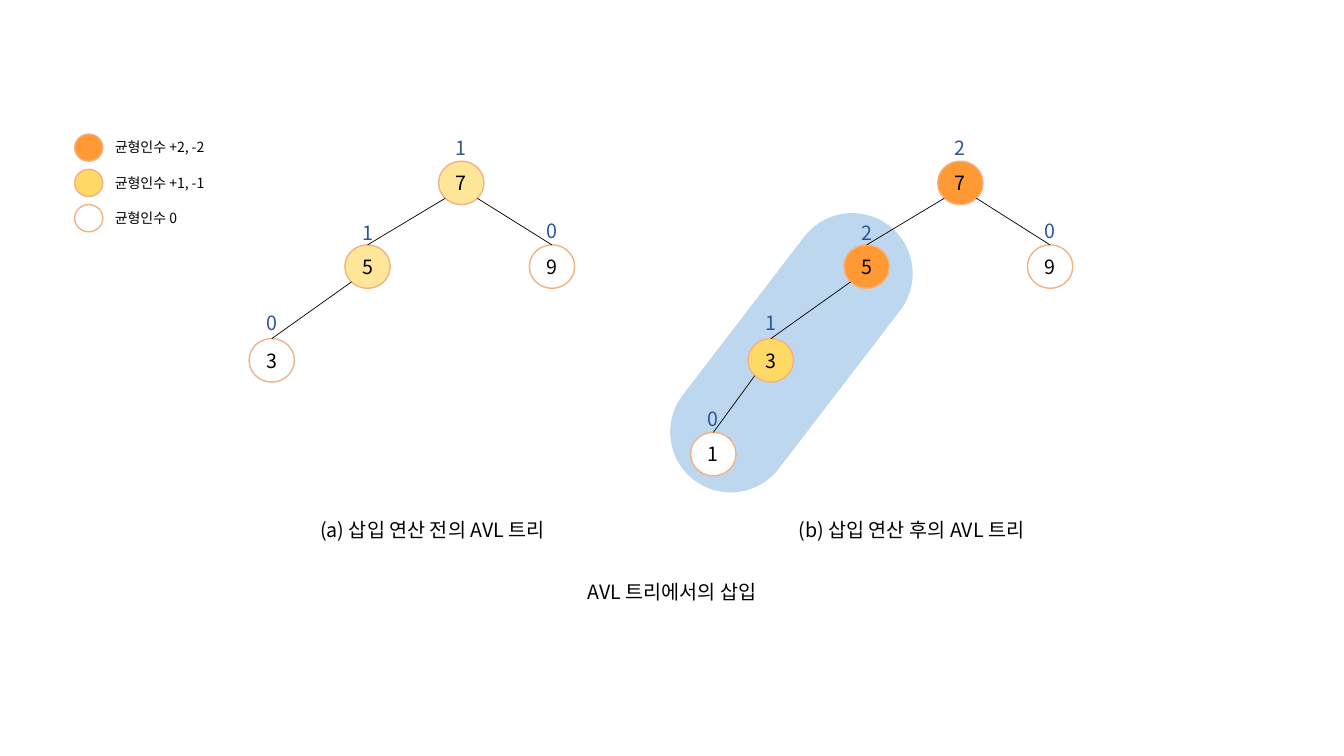
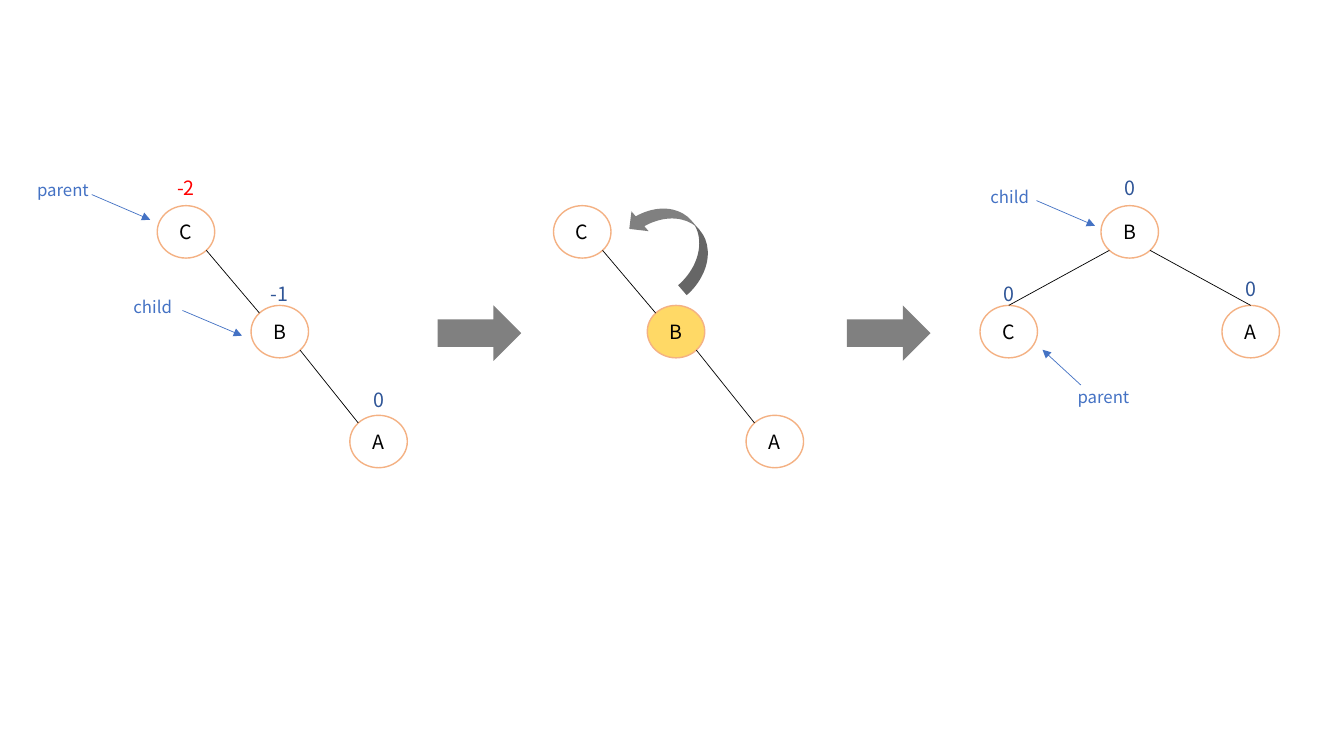
from math import sqrt

from pptx import Presentation
from pptx import util as u
from pptx.dml.color import RGBColor
from pptx.enum import shapes, text
from pptx.oxml.ns import qn

FONT = "Noto Sans CJK KR"
HUES = {
    "white": "FFFFFF", "black": "000000", "red": "FF0000",
    "navy": "2F5597", "blue": "4472C4", "sky": "BDD7EE",
    "rim": "F4B183", "cream": "FFE699", "gold": "FFD966",
    "orange": "FF9933", "gray": "808080",
}
KIND = shapes.MSO_SHAPE
MID = text.PP_ALIGN.CENTER
LEFT = text.PP_ALIGN.LEFT

SMALL = (0.45, 0.43)
LARGE = (0.57, 0.52)

# name: left, top, fill, balance, balance colour, gap above the node
BEFORE = {
    "7": (4.35, 1.6, "cream", "1", "navy", 0.3),
    "9": (5.25, 2.43, "white", "0", "navy", 0.31),
    "5": (3.42, 2.43, "cream", "1", "navy", 0.29),
    "3": (2.47, 3.36, "white", "0", "navy", 0.32),
}
AFTER = {
    "7": (9.3, 1.6, "orange", "2", "navy", 0.3),
    "9": (10.19, 2.43, "white", "0", "navy", 0.31),
    "5": (8.37, 2.43, "orange", "2", "navy", 0.29),
    "3": (7.42, 3.36, "gold", "1", "navy", 0.32),
    "1": (6.85, 4.29, "white", "0", "navy", 0.3),
}
CHAIN = {
    "C": (1.56, 2.04, "white", "-2", "red", 0.34),
    "B": (2.49, 3.03, "white", "-1", "navy", 0.28),
    "A": (3.47, 4.12, "white", "0", "navy", 0.32),
}
TURN = {
    "C": (5.49, 2.04, "white", "", "navy", 0),
    "B": (6.42, 3.03, "gold", "", "navy", 0),
    "A": (7.4, 4.12, "white", "", "navy", 0),
}
DONE = {
    "B": (10.92, 2.04, "white", "0", "navy", 0.34),
    "C": (9.72, 3.03, "white", "0", "navy", 0.28),
    "A": (12.12, 3.03, "white", "0", "navy", 0.33),
}

KEYS = [
    ("orange", "균형인수 +2, -2"),
    ("gold", "균형인수 +1, -1"),
    ("white", "균형인수 0"),
]
NOTES = [
    ("AVL 트리에서의 삽입", 2.88, 5.7, 7.57),
    ("(b) 삽입 연산 후의 AVL 트리", 6.67, 5.09, 4.74),
    ("(a) 삽입 연산 전의 AVL 트리", 1.92, 5.09, 4.74),
]
ROLES = [
    ("parent", (0.09, 1.73), (0.91, 1.93), (1.49, 2.18)),
    ("child", (0.98, 2.89), (1.81, 3.08), (2.4, 3.33)),
    ("parent", (10.41, 3.79), (10.72, 3.82), (10.34, 3.47)),
    ("child", (9.48, 1.8), (10.28, 1.99), (10.86, 2.24)),
]
STEPS = [4.34, 8.4]


def hue(name):
    return RGBColor.from_string(HUES[name])


def write(frame, words, size, ink, align=MID):
    para = frame.paragraphs[0]
    para.alignment = align
    run = para.add_run()
    run.text = words
    font = run.font
    font.size = u.Pt(size)
    font.name = FONT
    font.color.rgb = hue(ink)
    east = run._r.get_or_add_rPr().makeelement(qn("a:ea"), {"typeface": FONT})
    run._r.rPr.find(qn("a:latin")).addnext(east)


def label(page, words, x, y, w, h, size=14, ink="black", align=MID):
    box = page.shapes.add_textbox(*map(u.Inches, (x, y, w, h)))
    box.text_frame.word_wrap = True
    write(box.text_frame, words, size, ink, align)


def block(page, kind, x, y, w, h, fill, rim=None):
    form = page.shapes.add_shape(kind, *map(u.Inches, (x, y, w, h)))
    form.shadow.inherit = False
    form.fill.solid()
    form.fill.fore_color.rgb = hue(fill)
    if rim:
        form.line.color.rgb = hue(rim)
        form.line.width = u.Pt(1)
    else:
        form.line.fill.background()
    return form


def link(page, start, end, ink="black", arrow=False):
    line = page.shapes.add_connector(
        shapes.MSO_CONNECTOR.STRAIGHT, *map(u.Inches, start + end))
    line.line.color.rgb = hue(ink)
    line.line.width = u.Pt(0.5)
    if arrow:
        edge = line.line._get_or_add_ln()
        edge.append(edge.makeelement(qn("a:tailEnd"), {"type": "triangle"}))
    prop = line._element.spPr
    prop.append(prop.makeelement(qn("a:effectLst"), {}))
    return line


def spot(node, size, across, down):
    x, y = node[:2]
    w, h = size
    reach = sqrt(0.5) if across else 1
    return (x + w / 2 * (1 + across * reach), y + h / 2 * (1 + down * reach))


def tree(page, nodes, edges, size, top=True):
    disks = {}
    for name, (x, y, fill, *_) in nodes.items():
        disk = block(page, KIND.OVAL, x, y, *size, fill, "rim")
        frame = disk.text_frame
        frame.margin_left = frame.margin_right = 0
        frame.margin_top = frame.margin_bottom = 0
        frame.vertical_anchor = text.MSO_ANCHOR.MIDDLE
        write(frame, name, 14, "black")
        disks[name] = disk
    for high, low in edges:
        side = 1 if nodes[low][0] > nodes[high][0] else -1
        start = spot(nodes[high], size, side, 1)
        end = spot(nodes[low], size, 0 if top else -side, -1)
        line = link(page, start, end)
        if top:
            line.end_connect(disks[low], 0)
    for x, y, _, mark, ink, gap in nodes.values():
        if mark:
            label(page, mark, x, y - gap, size[0], 0.34, ink=ink)


def insert(page):
    band = block(page, KIND.ROUNDED_RECTANGLE, 7.25, 1.91, 1.2, 3.18, "sky")
    band.adjustments[0] = 0.5
    band.rotation = 37.5
    for words, x, y, w in NOTES:
        label(page, words, x, y, w, 0.34)
    pairs = ["79", "75", "53"]
    tree(page, BEFORE, pairs, SMALL)
    tree(page, AFTER, pairs + ["31"], SMALL)
    for row, (fill, words) in enumerate(KEYS):
        y = 1.33 + 0.35 * row
        block(page, KIND.OVAL, 0.74, y, 0.28, 0.27, fill, "rim")
        label(page, words, 1.04, y, 2.22, 0.27, 10, align=LEFT)


def rotate(page):
    for x in STEPS:
        block(page, KIND.RIGHT_ARROW, x, 3.03, 0.83, 0.55, "gray")
    tree(page, DONE, ["BC", "BA"], LARGE)
    for nodes in (CHAIN, TURN):
        tree(page, nodes, ["CB", "BA"], LARGE, top=False)
    for words, place, start, end in ROLES:
        link(page, start, end, "blue", True)
        label(page, words, *place, 1.07, 0.3, 12, "blue")
    bend = block(page, KIND.CURVED_DOWN_ARROW, 6.18, 2.12, 1, 0.52, "gray")
    bend.rotation = 49.1
    bend._element.spPr.find(qn("a:xfrm")).set("flipH", "1")


def main():
    deck = Presentation()
    deck.slide_width = u.Inches(13.33)
    deck.slide_height = u.Inches(7.5)
    for draw in (insert, rotate):
        draw(deck.slides.add_slide(deck.slide_layouts[6]))
    deck.save("out.pptx")


if __name__ == "__main__":
    main()
